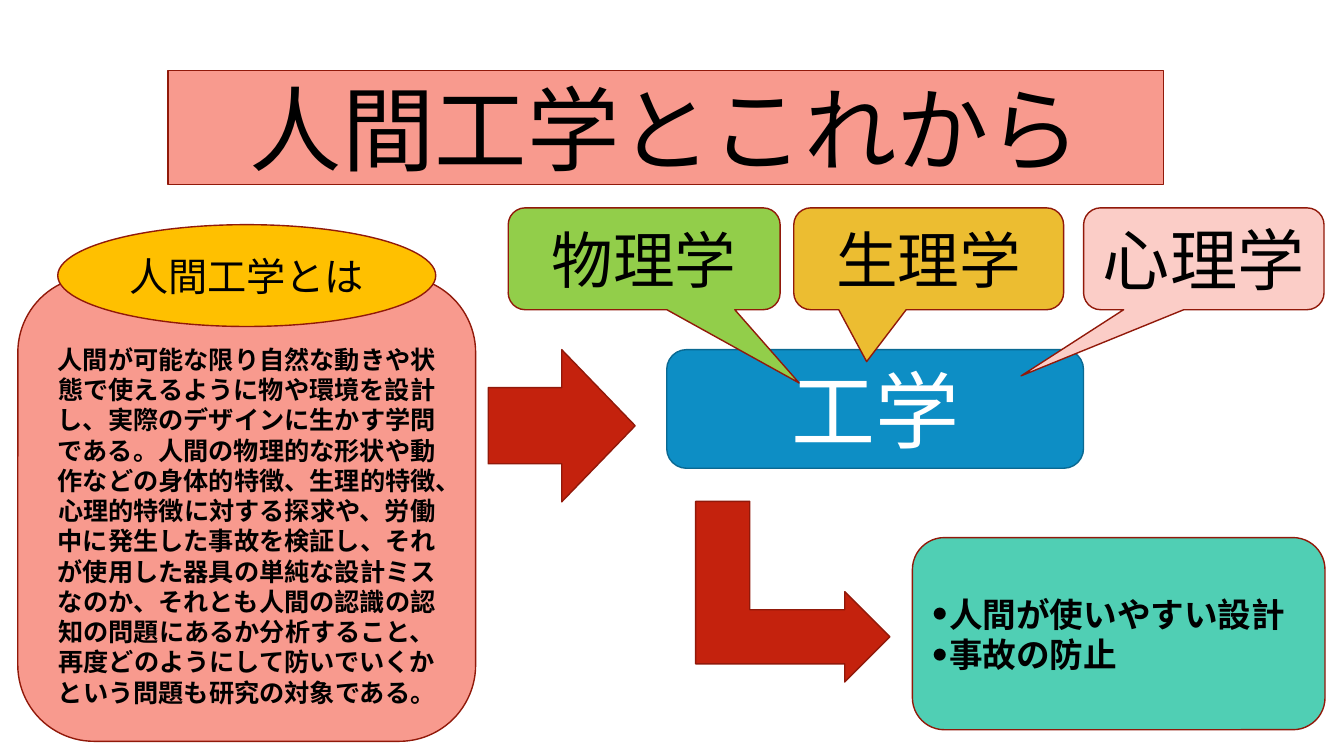
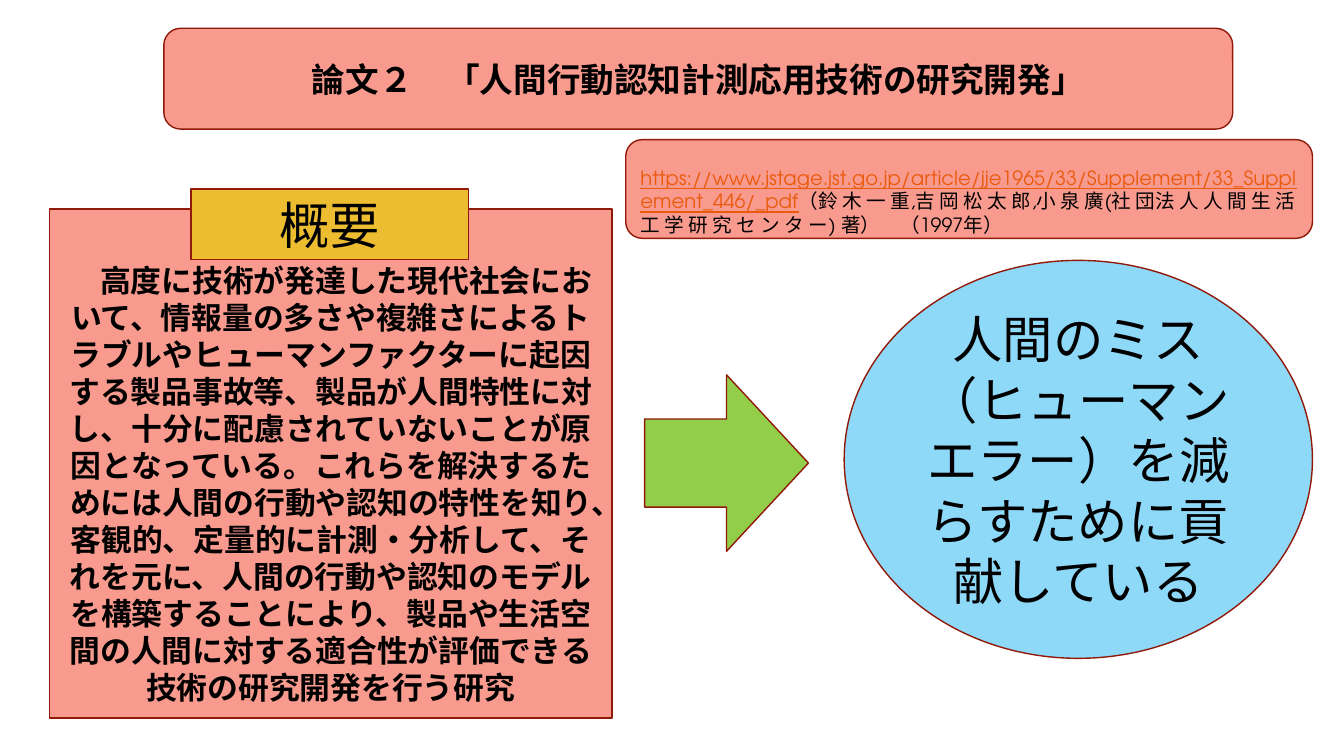
from lxml.etree import SubElement
from pptx import Presentation
from pptx.dml.color import RGBColor
from pptx.enum.shapes import MSO_SHAPE as Shape
from pptx.enum.text import MSO_ANCHOR as Anchor, PP_ALIGN as Align
from pptx.oxml.ns import qn
from pptx.util import Pt

PX = 9525  # EMU in one px, 96 px to the inch
FONT = "TeX Gyre Adventor"
COLORS = {
    "salmon": "F89A8E", "pink": "FBCDC7", "red": "C4220D", "dark red": "91190A",
    "amber": "FFC000", "gold": "ECBD31", "green": "92CE4A", "teal": "50CFB4",
    "sky": "8ED8F8", "blue": "0D8EC5", "dark blue": "0A6992",
    "black": "000000", "white": "FFFFFF", "link": "EA5A0C",
}


def color(name):
    return RGBColor.from_string(COLORS[name])


def add_box(slide, kind, box, fill, paragraphs=(), line="dark red", align=Align.CENTER,
            adjustments=(), top=5, text_color="black", **font_format):
    """Add a preset shape; a paragraph is a string or a list of (text, format) runs."""
    shape = slide.shapes.add_shape(kind, *(value * PX for value in box))
    shape.shadow.inherit = False
    shape.fill.solid()
    shape.fill.fore_color.rgb = color(fill)
    shape.line.color.rgb = color(line)
    shape.line.width = Pt(1)
    for index, value in enumerate(adjustments):
        shape.adjustments[index] = value
    frame = shape.text_frame
    frame.word_wrap = True
    frame.vertical_anchor = Anchor.MIDDLE
    frame.margin_top = top * PX
    for index, runs in enumerate(paragraphs):
        paragraph = frame.add_paragraph() if index else frame.paragraphs[0]
        paragraph.alignment = align
        for text, changes in [(runs, {})] if isinstance(runs, str) else runs:
            run = paragraph.add_run()
            run.text = text
            values = {"name": FONT, "color": text_color, **font_format, **changes}
            run.font.color.rgb = color(values.pop("color"))
            for name, value in values.items():
                setattr(run.font, name, value)
    return shape


presentation = Presentation()
presentation.slide_width, presentation.slide_height = 1280 * PX, 720 * PX
blank = presentation.slide_layouts[6]

# Slide 1: ergonomics and its future
slide = presentation.slides.add_slide(blank)
add_box(slide, Shape.RECTANGLE, (160, 67, 948, 109), "salmon", ["人間工学とこれから"],
        name="Arial", size=Pt(66))

# Definition under its oval heading
add_box(slide, Shape.ROUNDED_RECTANGLE, (17, 263, 436, 443), "salmon", [
    "人間が可能な限り自然な動きや状態で使えるように物や環境を設計し、実際のデザインに生かす学問である。"
    "人間の物理的な形状や動作などの身体的特徴、生理的特徴、心理的特徴に対する探求や、"
    "労働中に発生した事故を検証し、それが使用した器具の単純な設計ミスなのか、"
    "それとも人間の認識の認知の問題にあるか分析すること、"
    "再度どのようにして防いでいくかという問題も研究の対象である。"
], top=37, size=Pt(18), bold=True)
add_box(slide, Shape.OVAL, (55, 214, 360, 97), "amber", ["人間工学とは"], size=Pt(28))
add_box(slide, Shape.RIGHT_ARROW, (465, 333, 140, 145), "red")

# Engineering and the sciences that feed it
add_box(slide, Shape.ROUNDED_RECTANGLE, (635, 333, 397, 113), "blue", ["工学"],
        line="dark blue", text_color="white", size=Pt(60))
for text, left, width, fill, size, pointer in (
    ("物理学", 484, 259, "green", 44, (0.57, 1.22)),
    ("生理学", 756, 257, "gold", 44, (-0.23, 1.01)),
    ("心理学", 1032, 229, "pink", 48, (-0.76, 1.15)),
):
    add_box(slide, Shape.ROUNDED_RECTANGULAR_CALLOUT, (left, 198, width, 97), fill, [text],
            adjustments=pointer, size=Pt(size))

# Results
bent_arrow = add_box(slide, Shape.BENT_UP_ARROW, (669, 471, 172, 185), "red",
                     adjustments=(0.3, 0.25, 0.25))
bent_arrow.rotation = 90
results = add_box(slide, Shape.ROUNDED_RECTANGLE, (869, 512, 393, 183), "teal",
                  ["人間が使いやすい設計", "事故の防止"], align=Align.LEFT, size=Pt(24), bold=True)
for paragraph in results.text_frame.paragraphs:
    properties = paragraph._p.get_or_add_pPr()
    properties.set("marL", str(12 * PX))
    properties.set("indent", str(-12 * PX))
    SubElement(properties, qn("a:buFont"), typeface=FONT)
    SubElement(properties, qn("a:buChar"), char="•")

# Slide 2: paper 2
slide = presentation.slides.add_slide(blank)
add_box(slide, Shape.ROUNDED_RECTANGLE, (156, 27, 1018, 96), "salmon",
        ["論文２　「人間行動認知計測応用技術の研究開発」"], size=Pt(24), bold=True)

# Summary under its label
add_box(slide, Shape.RECTANGLE, (47, 199, 536, 485), "salmon", [
    "　高度に技術が発達した現代社会において、情報量の多さや複雑さによるトラブルや"
    "ヒューマンファクターに起因する製品事故等、製品が人間特性に対し、"
    "十分に配慮されていないことが原因となっている。"
    "これらを解決するためには人間の行動や認知の特性を知り、客観的、定量的に計測・分析して、"
    "それを元に、人間の行動や認知のモデルを構築することにより、"
    "製品や生活空間の人間に対する適合性が評価できる技術の研究開発を行う研究"
], top=43, size=Pt(22), bold=True)
add_box(slide, Shape.RECTANGLE, (182, 180, 264, 67), "gold", ["概要"], size=Pt(36))

# Contribution
add_box(slide, Shape.RIGHT_ARROW, (614, 357, 156, 168), "green")
add_box(slide, Shape.OVAL, (804, 248, 446, 379), "sky",
        ["人間のミス（ヒューマンエラー）を減らすために貢献している"], size=Pt(36))

# Citation
add_box(slide, Shape.ROUNDED_RECTANGLE, (596, 133, 654, 94), "salmon", [[
    (" ", {}),
    ("https://www.jstage.jst.go.jp/article/jje1965/33/Supplement/33_Supplement_446/_pdf",
     {"color": "link", "underline": True}),
    ("（鈴 木 一 重,吉 岡 松 太 郎,小 泉 廣(社 団法 人 人 間 生 活 工 学 研 究 セ ン タ ー) 著）　（1997年）", {}),
]], align=Align.LEFT, size=Pt(14))

presentation.save("out.pptx")
